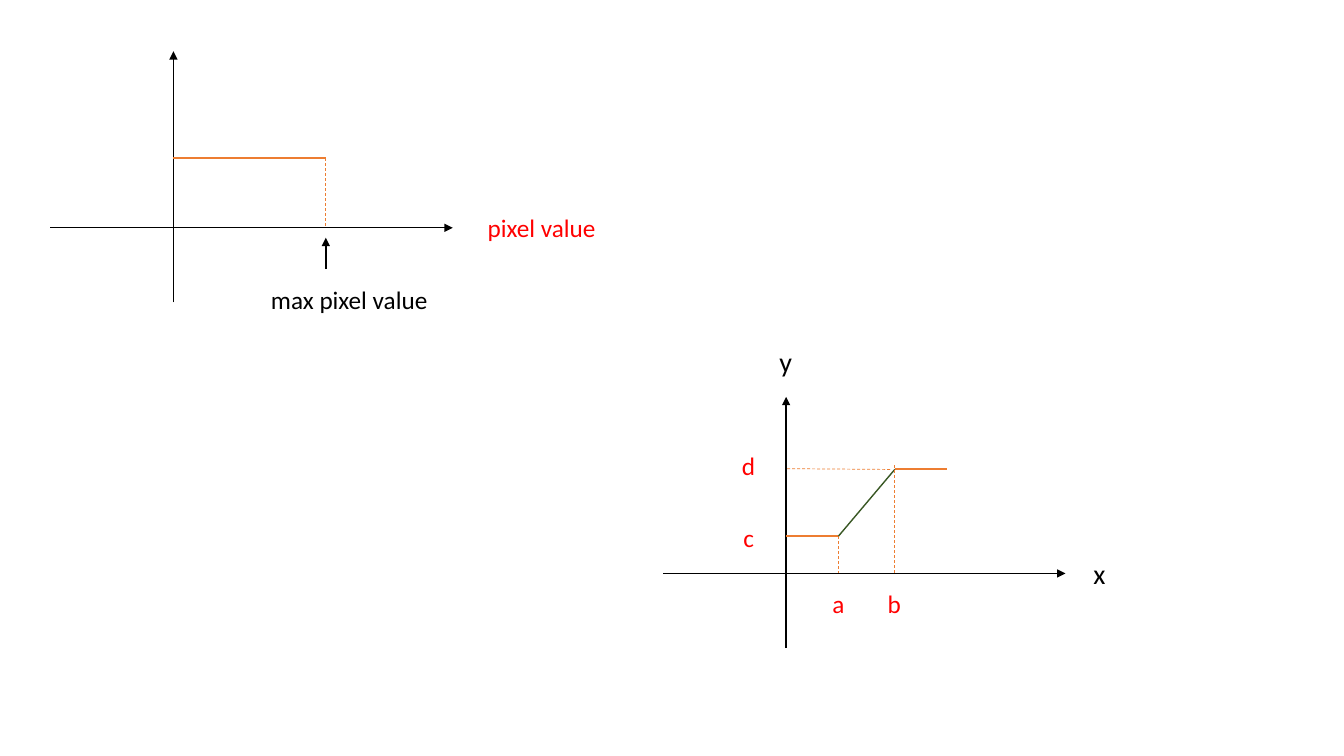
import pptx
import pptx.dml.color
import pptx.enum.dml
import pptx.enum.shapes
import pptx.enum.text
import pptx.oxml.ns
import pptx.util
from lxml import etree

Cm = pptx.util.Cm
Pt = pptx.util.Pt

COLORS = {"black": "000000", "orange": "ED7D31", "green": "385723", "red": "FF0000"}

# Line styles: colour, width in points, dashed, arrowhead
STYLES = {
    "axis": ("black", 1, False, True),
    "pointer": ("black", 1.5, False, True),
    "level": ("orange", 1.5, False, False),
    "guide": ("orange", 0.5, True, False),
    "ramp": ("green", 1, False, False),
}

# Centimetres from each graph's origin, y pointing up
AXES = [
    ("axis", (-3.1, 0), (7.04, 0)),
    ("axis", (0, -1.88), (0, 4.45)),
]
MAX_PIXEL, PIXEL_LEVEL = 3.84, 1.75
A, B, C, D = 1.32, 2.74, 0.94, 2.62

# Labels: text, centre, width, size in points, colour
GRAPHS = [
    {
        "origin": (4.37, 5.74),
        "lines": [
            ("level", (0, PIXEL_LEVEL), (MAX_PIXEL, PIXEL_LEVEL)),
            ("guide", (MAX_PIXEL, PIXEL_LEVEL), (MAX_PIXEL, 0)),
            ("pointer", (MAX_PIXEL, -1.04), (MAX_PIXEL, -0.25)),
        ],
        "labels": [
            ("pixel value", (9.31, 0), 3.28, 18, "red"),
            ("max pixel value", (4.46, -1.8), 4.5, 18, "black"),
        ],
    },
    {
        "origin": (19.81, 14.45),
        "lines": [
            ("level", (0, C), (A, C)),
            ("guide", (A, C), (A, 0)),
            ("level", (B, D), (4.06, D)),
            ("ramp", (A, C), (B, D)),
            ("guide", (B, 2.72), (B, 0)),
            ("guide", (2.62, D), (0, 2.64)),
        ],
        "labels": [
            ("a", (A, -0.76), 0.81, 18, "red"),
            ("b", (B, -0.76), 0.86, 18, "red"),
            ("c", (-0.93, 0.91), 0.79, 18, "red"),
            ("d", (-0.93, 2.72), 0.86, 18, "red"),
            ("x", (7.9, 0), 0.81, 20, "black"),
            ("y", (0, 5.33), 0.84, 20, "black"),
        ],
    },
]
LABEL_HEIGHTS = {18: 1.02, 20: 1.12}


def set_values(target, values):
    for name, value in values.items():
        setattr(target, name, value)


def rgb(color):
    return pptx.dml.color.RGBColor.from_string(COLORS[color])


def place(origin, point):
    return origin[0] + point[0], origin[1] - point[1]


def add_line(slide, origin, style, start, end):
    color, width, dashed, arrow = STYLES[style]
    ends = [Cm(value) for point in (start, end) for value in place(origin, point)]
    connector = slide.shapes.add_connector(pptx.enum.shapes.MSO_CONNECTOR.STRAIGHT, *ends)
    connector.line.color.rgb = rgb(color)
    dash = pptx.enum.dml.MSO_LINE.DASH if dashed else pptx.enum.dml.MSO_LINE.SOLID
    set_values(connector.line, {"width": Pt(width), "dash_style": dash})
    properties = connector.element.spPr
    if arrow:
        line = properties.find(pptx.oxml.ns.qn("a:ln"))
        etree.SubElement(line, pptx.oxml.ns.qn("a:tailEnd"), type="triangle")
    etree.SubElement(properties, pptx.oxml.ns.qn("a:effectLst"))


def add_label(slide, origin, text, center, width, size, color):
    x, y = place(origin, center)
    height = LABEL_HEIGHTS[size]
    shape = slide.shapes.add_textbox(
        Cm(x - width / 2), Cm(y - height / 2), Cm(width), Cm(height))
    set_values(shape.text_frame, {
        "text": text,
        "word_wrap": False,
        "auto_size": pptx.enum.text.MSO_AUTO_SIZE.SHAPE_TO_FIT_TEXT,
    })
    font = shape.text_frame.paragraphs[0].runs[0].font
    set_values(font, {"name": "Calibri", "size": Pt(size)})
    font.color.rgb = rgb(color)


def main():
    presentation = pptx.Presentation()
    set_values(presentation, {"slide_width": Cm(33.87), "slide_height": Cm(19.05)})
    slide = presentation.slides.add_slide(presentation.slide_layouts[6])

    # Each graph: axes and curves, then labels
    for graph in GRAPHS:
        for line in AXES + graph["lines"]:
            add_line(slide, graph["origin"], *line)
        for label in graph["labels"]:
            add_label(slide, graph["origin"], *label)

    presentation.save("out.pptx")


if __name__ == "__main__":
    main()
